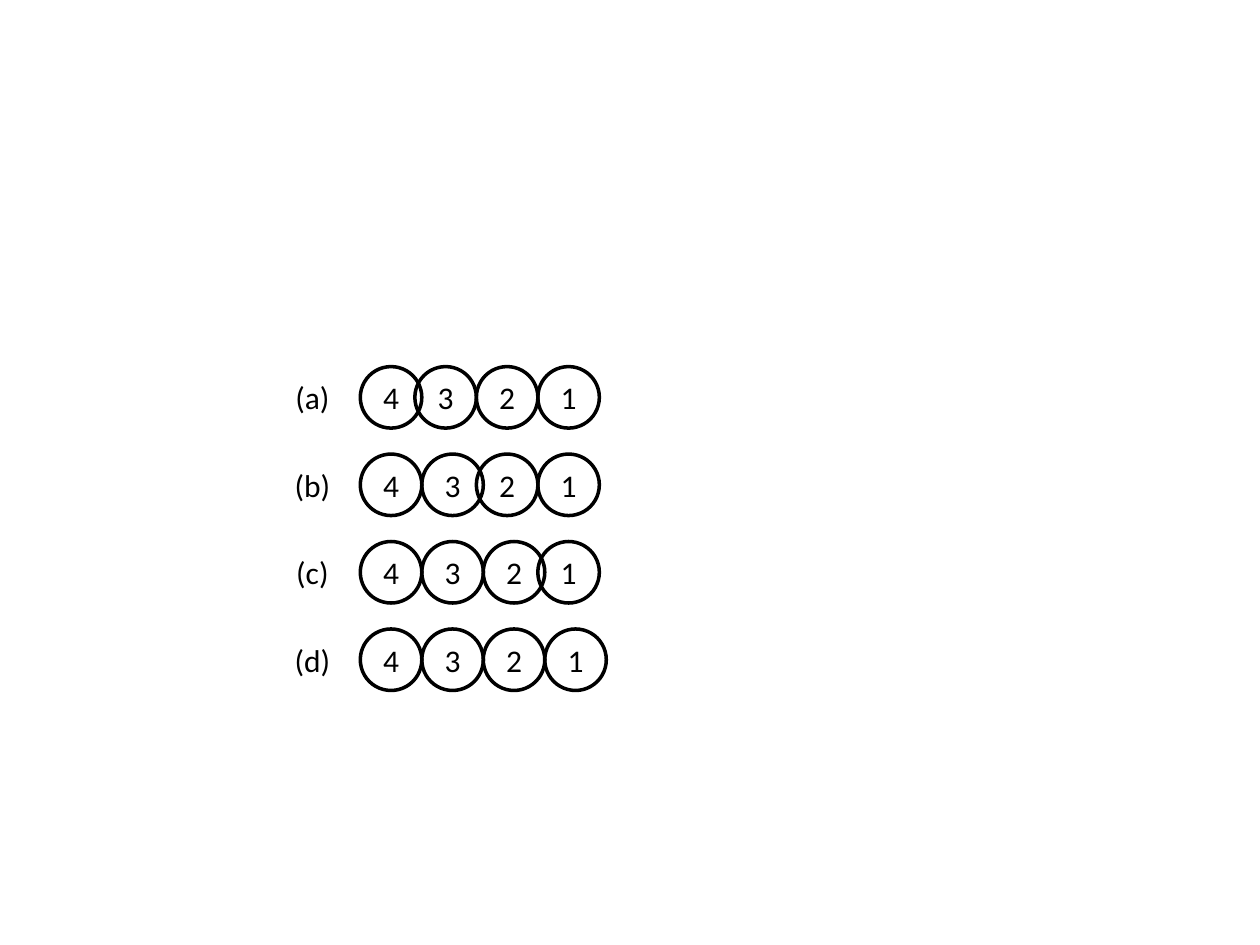
from pptx import Presentation
from pptx.dml.color import RGBColor
from pptx.enum.shapes import MSO_SHAPE
from pptx.enum.text import MSO_ANCHOR, MSO_AUTO_SIZE, PP_ALIGN
from pptx.util import Inches, Pt

OVAL = MSO_SHAPE.OVAL
CENTER = PP_ALIGN.CENTER
TOP, MIDDLE = MSO_ANCHOR.TOP, MSO_ANCHOR.MIDDLE
GROW = MSO_AUTO_SIZE.SHAPE_TO_FIT_TEXT

COLORS = {"ink": "000000"}
BLANK_LAYOUT = 6

ROWS_LEFT, ROWS_TOP, ROW_PITCH = 2.2, 2.91, 0.694
LABEL_WIDTH, LABEL_HEIGHT = 0.56, 0.4
CIRCLES_OFFSET = 0.66
DIAMETER = 0.488
OVERLAP = 0.055
NUMBERS = "4321"
# Each row's label and the index of the circle that overlaps the one before it.
ROWS = [("(a)", 1), ("(b)", 2), ("(c)", 3), ("(d)", None)]


def write_text(shape, text, size=18, font="Calibri", color="ink", anchor=TOP):
    frame = shape.text_frame
    frame.word_wrap = True
    frame.vertical_anchor = anchor
    paragraph = frame.paragraphs[0]
    paragraph.alignment = CENTER
    run = paragraph.add_run()
    run.text = text
    run.font.size = Pt(size)
    run.font.name = font
    run.font.color.rgb = RGBColor.from_string(COLORS[color])


def add_circle(shapes, left, top, number):
    circle = shapes.add_shape(
        OVAL, Inches(left), Inches(top), Inches(DIAMETER), Inches(DIAMETER))
    circle.shadow.inherit = False
    circle.fill.background()
    circle.line.color.rgb = RGBColor.from_string(COLORS["ink"])
    circle.line.width = Pt(2)
    write_text(circle, number, anchor=MIDDLE)


def add_label(shapes, left, top, text):
    label = shapes.add_textbox(
        Inches(left), Inches(top), Inches(LABEL_WIDTH), Inches(LABEL_HEIGHT))
    write_text(label, text)
    label.text_frame.auto_size = GROW


def add_circle_row(slide, left, top, label, overlapping):
    """Group a label with touching circles, one of which may overlap its neighbour."""
    shapes = slide.shapes.add_group_shape().shapes
    circle_left = left + CIRCLES_OFFSET
    for index, number in enumerate(NUMBERS):
        if index == overlapping:
            circle_left -= OVERLAP
        add_circle(shapes, circle_left, top, number)
        circle_left += DIAMETER
    add_label(shapes, left, top + (DIAMETER - LABEL_HEIGHT) / 2, label)


def main():
    presentation = Presentation()
    presentation.slide_width = Inches(10)
    presentation.slide_height = Inches(7.5)
    slide = presentation.slides.add_slide(presentation.slide_layouts[BLANK_LAYOUT])
    for index, (label, overlapping) in enumerate(ROWS):
        add_circle_row(slide, ROWS_LEFT, ROWS_TOP + index * ROW_PITCH, label, overlapping)
    presentation.save("out.pptx")


if __name__ == "__main__":
    main()
